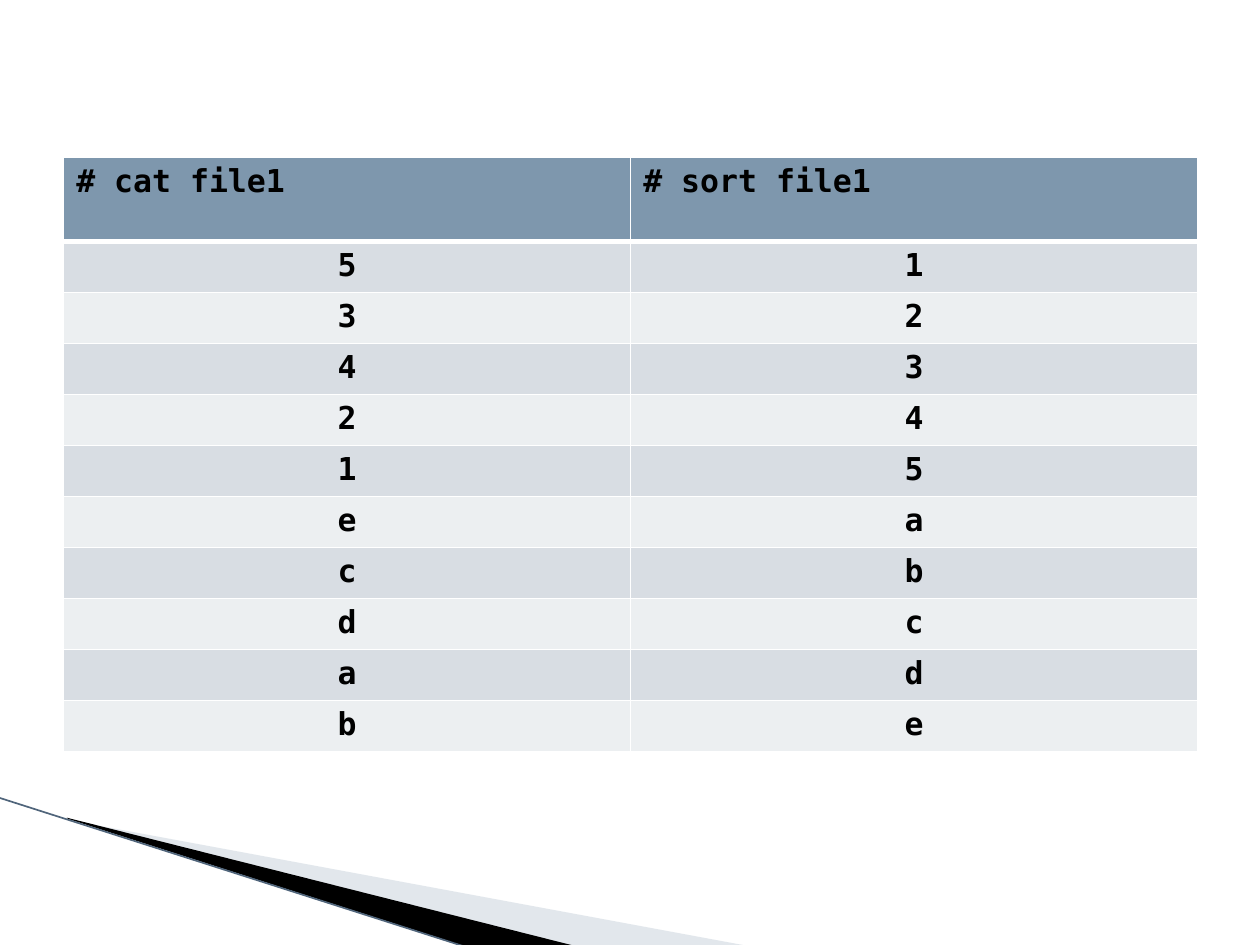
import pptx
import pptx.dml.color
import pptx.enum.text
import pptx.oxml
import pptx.oxml.ns
import pptx.util
from lxml import etree

Pt = pptx.util.Pt
RGB = pptx.dml.color.RGBColor.from_string
qn = pptx.oxml.ns.qn
ALIGN = pptx.enum.text.PP_ALIGN

COLORS = {
    "header": "7E97AD",
    "odd_row": "D8DDE3",
    "even_row": "ECEFF1",
    "text": "000000",
    "border": "FFFFFF",
    "pale_wedge": "B7C4D0",
    "dark_wedge": "000000",
    "edge": "50657B",
}


def write(frame, text, size=18, font="DejaVu Sans Mono", color="text", bold=True, align=ALIGN.LEFT):
    paragraph = frame.paragraphs[0]
    paragraph.alignment = align
    run = paragraph.add_run()
    run.text = text
    run.font.size = Pt(size)
    run.font.name = font
    run.font.bold = bold
    run.font.color.rgb = RGB(COLORS[color])


def set_borders(cell, **widths):
    """Draw the cell borders; widths in points are keyed L, R, T, B in that order."""
    properties = cell._tc.get_or_add_tcPr()
    for index, (side, width) in enumerate(widths.items()):
        properties.insert(index, pptx.oxml.parse_xml(
            f'<a:ln{side} {pptx.oxml.ns.nsdecls("a")} w="{Pt(width)}"><a:solidFill>'
            f'<a:srgbClr val="{COLORS["border"]}"/></a:solidFill></a:ln{side}>'))


deck = pptx.Presentation()
deck.slide_width, deck.slide_height = Pt(720), Pt(540)
slide = deck.slides.add_slide(deck.slide_layouts[6])

# Wedges in the lower left corner
wedges = [
    ("pale_wedge", 40, [(39.6, 468.7), (428.4, 540.7), (328.3, 540.7), (39.6, 468)]),
    ("dark_wedge", 100, [(38.2, 467.3), (329, 540.7), (267.8, 541.4), (38.9, 468)]),
]
for color, opacity, corners in wedges:
    points = [(Pt(x), Pt(y)) for x, y in corners]
    builder = slide.shapes.build_freeform(*points[0])
    builder.add_line_segments(points[1:], close=True)
    wedge = builder.convert_to_shape()
    wedge.shadow.inherit = False
    wedge.fill.solid()
    wedge.fill.fore_color.rgb = RGB(COLORS[color])
    wedge.line.fill.background()
    if opacity < 100:
        fill_color = wedge._element.spPr.find(".//" + qn("a:srgbClr"))
        etree.SubElement(fill_color, qn("a:alpha"), val=str(opacity * 1000))

edge = slide.shapes.add_connector(
    pptx.enum.shapes.MSO_CONNECTOR.STRAIGHT, Pt(-0.7), Pt(455.8), Pt(267.1), Pt(541.4))
edge.line.color.rgb = RGB(COLORS["edge"])
edge.line.width = Pt(0.95)
etree.SubElement(edge._element.spPr, qn("a:effectLst"))

# File contents before and after sorting
headings = ["# cat file1", "# sort file1"]
unsorted_lines = "53421ecdab"
file_rows = [headings, *zip(unsorted_lines, sorted(unsorted_lines))]
header_height, row_height = 48, 29.16

listing = slide.shapes.add_table(
    len(file_rows), len(headings), Pt(36.4), Pt(90), Pt(648),
    Pt(header_height + row_height * len(unsorted_lines))).table
for row, values in enumerate(file_rows):
    is_header = row == 0
    listing.rows[row].height = Pt(header_height if is_header else row_height)
    fill = "header" if is_header else "odd_row" if row % 2 else "even_row"
    for column, value in enumerate(values):
        cell = listing.cell(row, column)
        cell.fill.solid()
        cell.fill.fore_color.rgb = RGB(COLORS[fill])
        set_borders(cell, L=1, R=1, T=3 if row == 1 else 1, B=3 if is_header else 1)
        write(cell.text_frame, value, align=ALIGN.LEFT if is_header else ALIGN.CENTER)

deck.save("out.pptx")
